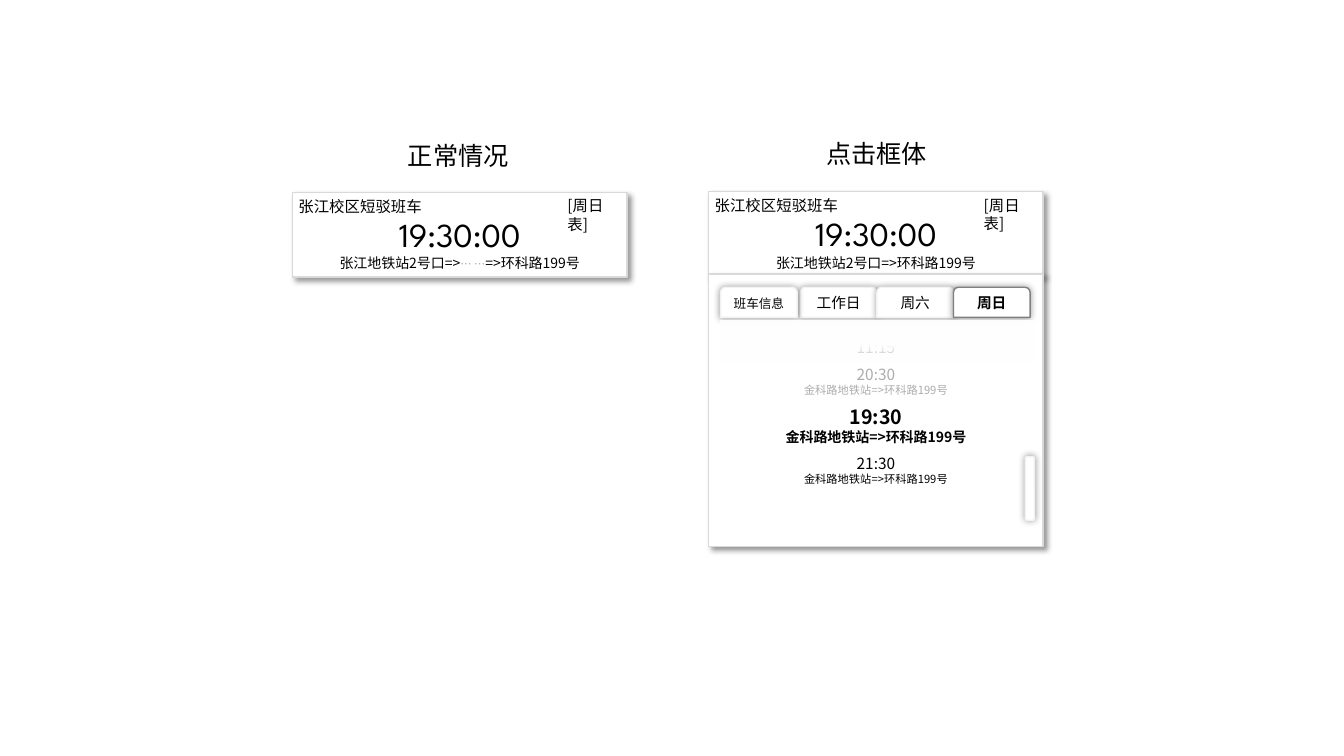
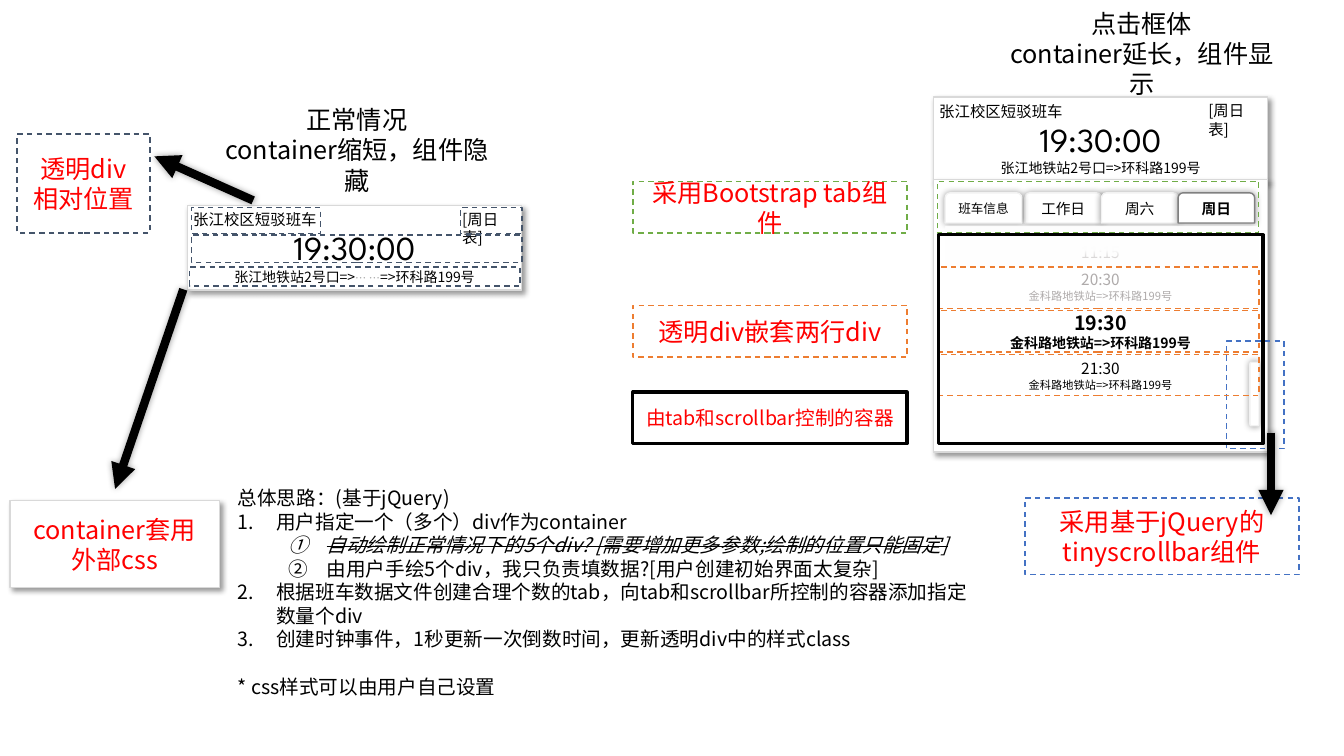
from lxml import etree
from pptx import Presentation
from pptx.dml.color import RGBColor
from pptx.enum.dml import MSO_LINE
from pptx.enum.shapes import MSO_CONNECTOR, MSO_SHAPE
from pptx.enum.text import MSO_ANCHOR, MSO_AUTO_SIZE, PP_ALIGN
from pptx.oxml.ns import qn
from pptx.util import Cm, Pt

RECT = MSO_SHAPE.RECTANGLE
ROUNDED = MSO_SHAPE.ROUNDED_RECTANGLE
TAB = MSO_SHAPE.ROUND_2_SAME_RECTANGLE
STRAIGHT = MSO_CONNECTOR.STRAIGHT
DASH = MSO_LINE.DASH
MIDDLE = MSO_ANCHOR.MIDDLE
FIT = MSO_AUTO_SIZE.SHAPE_TO_FIT_TEXT
LEFT, CENTER = PP_ALIGN.LEFT, PP_ALIGN.CENTER

BLACK = RGBColor(0x00, 0x00, 0x00)
WHITE = RGBColor(0xFF, 0xFF, 0xFF)
RED = RGBColor(0xFF, 0x00, 0x00)
PALE = RGBColor(0xF2, 0xF2, 0xF2)
BORDER = RGBColor(0xD9, 0xD9, 0xD9)
ACTIVE = RGBColor(0x80, 0x80, 0x80)
PASSED = RGBColor(0xAF, 0xAB, 0xAB)
DOTS = RGBColor(0xA6, 0xA6, 0xA6)
SLATE = RGBColor(0x44, 0x54, 0x6A)
GREEN = RGBColor(0x70, 0xAD, 0x47)
BLUE = RGBColor(0x44, 0x72, 0xC4)
ORANGE = RGBColor(0xED, 0x7D, 0x31)

BODY_FONT = "Noto Sans CJK SC"
CLOCK_FONT = "League Spartan"
CARD_SHADOW = (4, 3, 45)
GLOW = (5, 0, 0)
CARD_WIDTH = 8.43

METRO = "张江地铁站2号口=>"
CAMPUS = "=>环科路199号"
STOP = "金科路地铁站=>环科路199号"
SHORT_ROUTE = [(METRO, {"size": 10}), ("… …", {"size": 8, "color": DOTS}), (CAMPUS, {"size": 10})]
FULL_ROUTE = [(METRO + CAMPUS[2:], {"size": 10})]

SCHEDULE = [
    ("11:15", 11, PASSED, False, 6),
    ("20:30", 11, PASSED, False, 0),
    (STOP, 8, PASSED, False, 6),
    ("19:30", 14, BLACK, True, 0),
    (STOP, 10, BLACK, True, 6),
    ("21:30", 11, BLACK, False, 0),
    (STOP, 8, BLACK, False, 6),
]
TABS = [
    (2.31, "工作日", 10.5, PALE, False),
    (4.24, "周六", 10.5, PALE, False),
    (6.17, "周日", 10.5, ACTIVE, True),
    (0.3, "班车信息", 9, PALE, False),
]
NOTES = [
    ("总体思路：(基于jQuery)", 0, None),
    ("用户指定一个（多个）div作为container", 0, "arabicPeriod"),
    ("自动绘制正常情况下的5个div? [需要增加更多参数;绘制的位置只能固定]", 1, "circleNumDbPlain"),
    ("由用户手绘5个div，我只负责填数据?[用户创建初始界面太复杂]", 1, "circleNumDbPlain"),
    ("根据班车数据文件创建合理个数的tab，向tab和scrollbar所控制的容器添加指定数量个div", 0, "arabicPeriod"),
    ("创建时钟事件，1秒更新一次倒数时间，更新透明div中的样式class", 0, "arabicPeriod"),
    ("* css样式可以由用户自己设置", 0, None),
]
DROPPED_NOTE = 2


def add_child(parent, tag, **attributes):
    """Append a drawing element with the given attributes."""
    child = etree.SubElement(parent, qn(tag))
    for name, value in attributes.items():
        child.set(name, str(value))
    return child


def add_shadow(effects, blur, distance, angle):
    """Put a translucent black outer shadow into an effect list."""
    outer = add_child(effects, "a:outerShdw", blurRad=Pt(blur), dist=Pt(distance),
                      dir=angle * 60000, algn="ctr", rotWithShape=0)
    tint = add_child(outer, "a:srgbClr", val=BLACK)
    add_child(tint, "a:alpha", val=40000)


def add_span(para, text, size, color=BLACK, name=BODY_FONT, **flags):
    """Add a run with its font settings."""
    span = para.add_run()
    span.text = text
    for key, value in {"size": Pt(size), "name": name, **flags}.items():
        setattr(span.font, key, value)
    span.font.color.rgb = color
    add_child(span.font._element, "a:ea", typeface=name)
    return span


def write_paras(frame, paras, align=CENTER, **settings):
    """Fill a text frame; every paragraph is a list of (text, format) pairs."""
    for index, spans in enumerate(paras):
        para = frame.add_paragraph() if index else frame.paragraphs[0]
        para.alignment = align
        for text, values in spans:
            add_span(para, text, **{**settings, **values})


def add_box(page, left, top, width, height):
    """Add a wrapping text box that grows with its text."""
    box = page.shapes.add_textbox(Cm(left), Cm(top), Cm(width), Cm(height))
    for key, value in {"word_wrap": True, "auto_size": FIT}.items():
        setattr(box.text_frame, key, value)
    return box.text_frame


def add_label(page, place, lines, align=CENTER, **settings):
    """Add a text box with one paragraph per line."""
    write_paras(add_box(page, *place), [[(line, {})] for line in lines], align, **settings)


def add_block(page, place, line, kind=RECT, fill=None, weight=1, dash=None,
              shadow=None, lines=(), **settings):
    """Add an outlined shape with optional fill, shadow and centred text."""
    block = page.shapes.add_shape(kind, *map(Cm, place))
    block.shadow.inherit = False
    if fill is None:
        block.fill.background()
    else:
        block.fill.solid()
        block.fill.fore_color.rgb = fill
    block.line.color.rgb = line
    for key, value in {"width": Pt(weight), "dash_style": dash}.items():
        setattr(block.line, key, value)
    if shadow:
        add_shadow(block.element.spPr.find(qn("a:effectLst")), *shadow)
    block.text_frame.vertical_anchor = MIDDLE
    write_paras(block.text_frame, [[(line, {})] for line in lines], **settings)


def add_frame(page, place, color, lines=(), fill=None):
    """Add a dashed frame, with a red caption if lines are given."""
    add_block(page, place, color, fill=fill, dash=DASH, lines=lines, size=18, color=RED)


def add_arrow(page, start, end):
    """Add a thick black arrow with a soft shadow."""
    arrow = page.shapes.add_connector(STRAIGHT, *map(Cm, start + end))
    arrow.line.color.rgb = BLACK
    arrow.line.width = Pt(6)
    properties = arrow.element.spPr
    add_child(properties.find(qn("a:ln")), "a:tailEnd", type="triangle")
    add_shadow(add_child(properties, "a:effectLst"), *GLOW)


def add_fade(page, left, top):
    """Cover the top of the schedule with a fading white band."""
    fade = page.shapes.add_shape(RECT, Cm(left), Cm(top), Cm(7.9), Cm(1.02))
    fade.shadow.inherit = False
    fade.line.fill.background()
    fade.fill.gradient()
    fade.fill.gradient_angle = 90
    for stop, position in zip(fade.fill.gradient_stops, (0, 0.42)):
        stop.color.rgb = WHITE
        stop.position = position
    clear = next(fade.element.spPr.iter(qn("a:srgbClr")))
    add_child(clear, "a:alpha", val=0)


def add_panel(page, left, top, height):
    """Add a white panel with a drop shadow."""
    add_block(page, (left, top, CARD_WIDTH, height), BORDER, fill=WHITE, shadow=CARD_SHADOW)


def add_heading(page, left, top, route):
    """Add the name, countdown, route and day of a shuttle card."""
    add_label(page, (left, top + 0.41, CARD_WIDTH, 1.27), ["19:30:00"], size=24, name=CLOCK_FONT)
    add_label(page, (left - 0.1, top, 3.66, 0.74), ["张江校区短驳班车"], LEFT, size=11)
    write_paras(add_box(page, left, top + 1.45, CARD_WIDTH, 0.69), [route])
    add_label(page, (left + 6.68, top - 0.02, 1.93, 0.74), ["[周日表]"], LEFT, size=11)


def add_short_card(page, left, top):
    """Add the collapsed shuttle card."""
    add_panel(page, left, top, 2.13)
    add_heading(page, left, top, SHORT_ROUTE)


def add_schedule(page, left, top):
    """Add the list of departures."""
    frame = add_box(page, left, top, CARD_WIDTH, 4.01)
    write_paras(frame, [[(text, {"size": size, "color": color, "bold": bold})]
                        for text, size, color, bold, _ in SCHEDULE])
    for para, row in zip(frame.paragraphs, SCHEDULE):
        para.space_after = Pt(row[-1])


def add_long_card(page, left, top):
    """Add the expanded shuttle card with tabs, schedule and scrollbar."""
    add_panel(page, left, top, 2.13)
    add_panel(page, left, top + 2.08, 6.86)
    add_heading(page, left, top, FULL_ROUTE)
    add_schedule(page, left, top + 3.56)
    add_block(page, (left + 7.98, top + 6.68, 0.23, 1.6), PALE, ROUNDED, WHITE, shadow=GLOW)
    for offset, text, size, line, bold in TABS:
        add_block(page, (left + offset, top + 2.41, 1.93, 0.76), line, TAB, WHITE,
                  shadow=GLOW, lines=[text], size=size, bold=bold)
    add_fade(page, left + 0.3, top + 3.25)


def add_notes_list(page):
    """Add the numbered outline of the design."""
    frame = add_box(page, 5.74, 12.12, 19.05, 6.83)
    write_paras(frame, [[(text, {})] for text, _, _ in NOTES], LEFT, size=14)
    for para, (_, level, numbering) in zip(frame.paragraphs, NOTES):
        para.level = level
        if numbering:
            properties = para._p.get_or_add_pPr()
            properties.set("marL", str(Cm(0.97 + 1.27 * level)))
            properties.set("indent", str(-Cm(0.97)))
            add_child(properties, "a:buFont", typeface="+mj-lt")
            add_child(properties, "a:buAutoNum", type=numbering)
    dropped = frame.paragraphs[DROPPED_NOTE].runs[0].font
    dropped.italic = True
    dropped._element.set("strike", "sngStrike")
    frame.paragraphs[-1].space_before = Pt(17)


def build_states(page):
    """Show the collapsed and expanded cards side by side."""
    add_long_card(page, 17.86, 4.83)
    add_short_card(page, 7.37, 4.85)
    add_label(page, (10.03, 3.4, 3.07, 1.02), ["正常情况"], LEFT, size=18)
    add_label(page, (20.57, 3.35, 3.07, 1.02), ["点击框体"], LEFT, size=18)


def build_design(page):
    """Annotate both cards with their building parts."""
    add_long_card(page, 23.52, 2.45)
    add_short_card(page, 4.72, 5.18)
    add_label(page, (5.21, 2.51, 7.57, 1.8), ["正常情况", "container缩短，组件隐藏"], size=18)
    add_label(page, (24.99, 0.08, 7.57, 1.8), ["点击框体", "container延长，组件显示"], size=18)
    for place in ((4.83, 5.23, 3.25, 0.66), (11.61, 5.23, 1.55, 0.66),
                  (4.83, 5.92, 8.33, 0.69), (4.78, 6.73, 8.33, 0.48)):
        add_frame(page, place, SLATE)
    add_frame(page, (0.43, 3.38, 3.35, 2.49), SLATE, ["透明div", "相对位置"])
    add_arrow(page, (4.62, 7.29), (2.9, 12.32))
    add_block(page, (0.25, 12.62, 5.28, 2.18), BORDER, fill=WHITE, shadow=CARD_SHADOW,
              lines=["container套用", "外部css"], size=18, color=RED)
    add_arrow(page, (6.38, 5.05), (3.89, 3.94))
    add_frame(page, (23.62, 4.57, 8.1, 1.3), GREEN)
    add_frame(page, (15.95, 4.57, 6.91, 1.3), GREEN, ["采用Bootstrap tab组件"])
    add_frame(page, (25.83, 12.55, 6.91, 1.93), BLUE, ["采用基于jQuery的tinyscrollbar组件"], WHITE)
    add_frame(page, (30.91, 8.59, 1.45, 2.72), BLUE)
    add_arrow(page, (32.03, 10.9), (32.03, 12.98))
    add_frame(page, (15.95, 7.7, 6.91, 1.3), ORANGE, ["透明div嵌套两行div"])
    for row in range(3):
        add_frame(page, (23.65, 6.73 + 1.1 * row, 8.08, 1.04), ORANGE)
    add_block(page, (15.95, 9.88, 6.91, 1.3), BLACK, fill=WHITE, weight=2.25,
              lines=["由tab和scrollbar控制的容器"], size=14, color=RED)
    add_block(page, (23.65, 5.92, 8.18, 5.26), BLACK, weight=2.25)
    add_notes_list(page)


def main():
    """Build and save the deck."""
    deck = Presentation()
    deck.slide_width, deck.slide_height = Cm(33.87), Cm(19.05)
    for build in (build_states, build_design):
        build(deck.slides.add_slide(deck.slide_layouts[6]))
    deck.save("out.pptx")


main()
